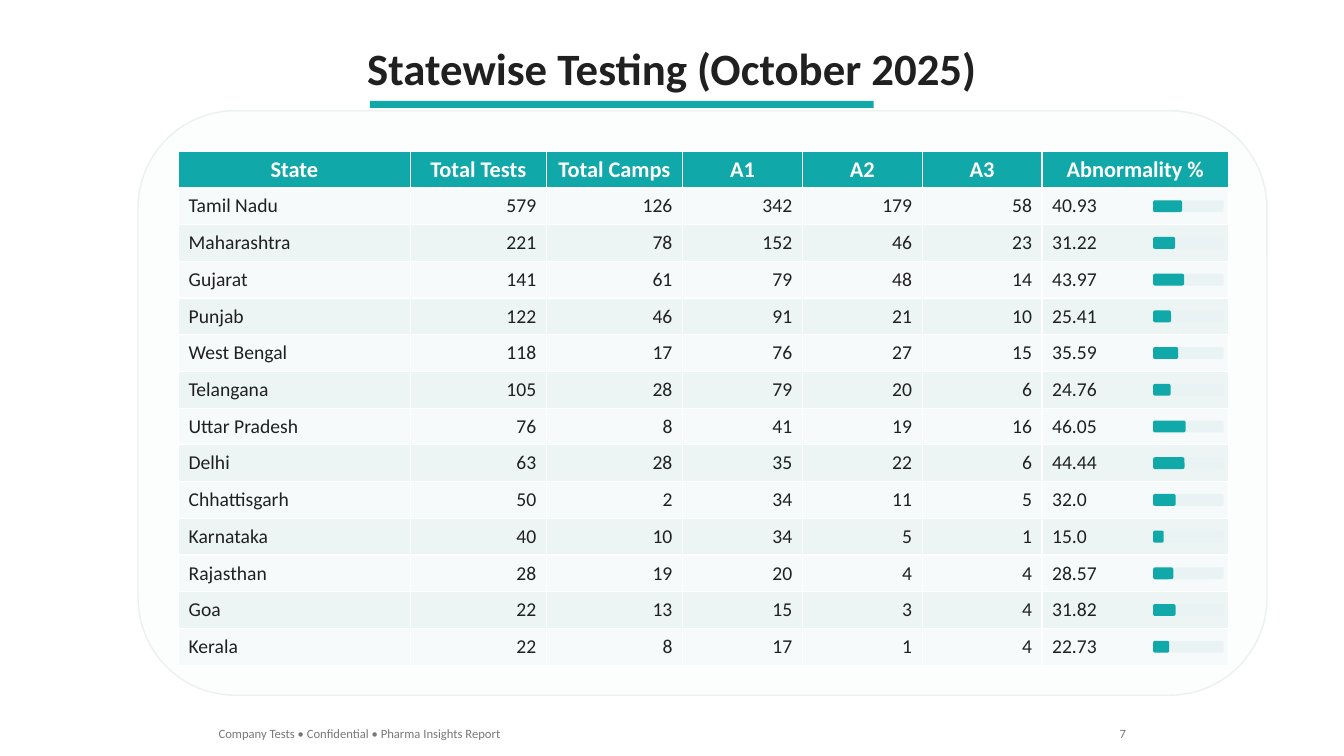
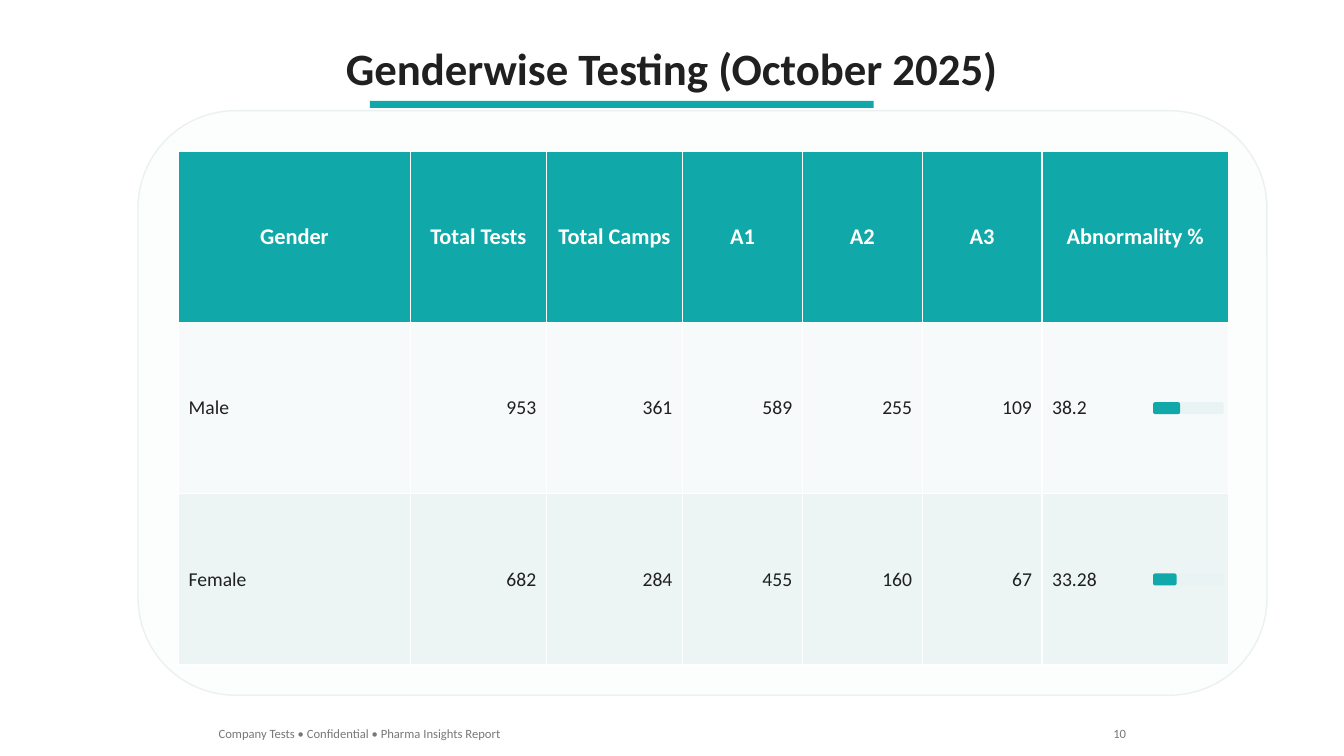
from dataclasses import dataclass

from pptx import Presentation
from pptx import util as u
from pptx.dml.color import RGBColor
from pptx.enum import shapes, text

Cm, Pt = u.Cm, u.Pt
RECT, ROUND = shapes.MSO_SHAPE.RECTANGLE, shapes.MSO_SHAPE.ROUNDED_RECTANGLE
LEFT, CENTER, RIGHT = text.PP_ALIGN.LEFT, text.PP_ALIGN.CENTER, text.PP_ALIGN.RIGHT

# Shared look
FONT = "Calibri"
COLORS = {
    "teal": "10A8A8", "ink": "202020", "white": "FFFFFF", "grey": "787878",
    "card": "FCFDFD", "card_line": "EBF0F0", "track": "EAF3F3",
    "row_light": "F6FAFA", "row_dark": "ECF4F4",
}
FOOTER = "Company Tests • Confidential • Pharma Insights Report"

# Shared layout, in centimetres
SLIDE_W, SLIDE_H = 33.87, 19.05
TABLE_X, TABLE_Y, TABLE_H = 4.5, 3.81, 12.95
COL_WIDTHS = (5.84, 3.43, 3.43, 3.02, 3.02, 3.02, 4.7)
MEASURES = ("Total Tests", "Total Camps", "A1", "A2", "A3", "Abnormality %")
ALIGNS = (LEFT, *[RIGHT] * 5, LEFT)
BAR_X, BAR_W, BAR_H = 29.06, 1.78, 0.3
FOOTER_Y, FOOTER_H, PAGE_RIGHT = 18.16, 0.64, 28.63


@dataclass(frozen=True)
class Report:
    title: str
    title_width: float
    group: str
    rows: tuple[tuple[str, ...], ...]
    page: int


REPORTS = (
    Report("Statewise Testing (October 2025)", 16.05, "State", (
        ("Tamil Nadu", "579", "126", "342", "179", "58", "40.93"),
        ("Maharashtra", "221", "78", "152", "46", "23", "31.22"),
        ("Gujarat", "141", "61", "79", "48", "14", "43.97"),
        ("Punjab", "122", "46", "91", "21", "10", "25.41"),
        ("West Bengal", "118", "17", "76", "27", "15", "35.59"),
        ("Telangana", "105", "28", "79", "20", "6", "24.76"),
        ("Uttar Pradesh", "76", "8", "41", "19", "16", "46.05"),
        ("Delhi", "63", "28", "35", "22", "6", "44.44"),
        ("Chhattisgarh", "50", "2", "34", "11", "5", "32.0"),
        ("Karnataka", "40", "10", "34", "5", "1", "15.0"),
        ("Rajasthan", "28", "19", "20", "4", "4", "28.57"),
        ("Goa", "22", "13", "15", "3", "4", "31.82"),
        ("Kerala", "22", "8", "17", "1", "4", "22.73"),
    ), 7),
    Report("Genderwise Testing (October 2025)", 17.12, "Gender", (
        ("Male", "953", "361", "589", "255", "109", "38.2"),
        ("Female", "682", "284", "455", "160", "67", "33.28"),
    ), 10),
)


def rgb(name: str) -> RGBColor:
    return RGBColor.from_string(COLORS[name])


def write(tf, content: str, size: int, color: str, align, bold: bool = False) -> None:
    p = tf.paragraphs[0]
    p.text = content
    p.alignment = align
    p.font.name, p.font.size, p.font.bold = FONT, Pt(size), bold
    p.font.color.rgb = rgb(color)


def add_label(s, x: float, y: float, w: float, h: float, content: str,
              size: int, color: str, align=LEFT, bold: bool = False) -> None:
    tf = s.shapes.add_textbox(Cm(x), Cm(y), Cm(w), Cm(h)).text_frame
    tf.word_wrap = False
    tf.auto_size = text.MSO_AUTO_SIZE.SHAPE_TO_FIT_TEXT
    write(tf, content, size, color, align, bold)


def add_box(s, kind, x: float, y: float, w: float, h: float,
            fill: str, line: str | None = None) -> None:
    sp = s.shapes.add_shape(kind, Cm(x), Cm(y), Cm(w), Cm(h))
    sp.shadow.inherit = False
    sp.fill.solid()
    sp.fill.fore_color.rgb = rgb(fill)
    if line:
        sp.line.color.rgb = rgb(line)
        sp.line.width = Pt(1)
    else:
        sp.line.fill.background()


def fill_cell(cell, content: str, fill: str, size: int, color: str,
              align, bold: bool = False) -> None:
    cell.fill.solid()
    cell.fill.fore_color.rgb = rgb(fill)
    cell.vertical_anchor = text.MSO_ANCHOR.MIDDLE
    cell.margin_top = cell.margin_bottom = Cm(0.1)
    write(cell.text_frame, content, size, color, align, bold)


def add_results(s, report: Report) -> None:
    count = len(report.rows) + 1
    row_h = TABLE_H / count
    table = s.shapes.add_table(count, len(COL_WIDTHS), Cm(TABLE_X), Cm(TABLE_Y),
                               Cm(sum(COL_WIDTHS)), Cm(TABLE_H)).table
    for column, width in zip(table.columns, COL_WIDTHS):
        column.width = Cm(width)
    for row in table.rows:
        row.height = Cm(row_h)

    # Header row
    for c, heading in enumerate((report.group, *MEASURES)):
        fill_cell(table.cell(0, c), heading, "teal", 16, "white", CENTER, True)

    # Data rows, each with a bar for its abnormality rate
    for i, values in enumerate(report.rows, start=1):
        fill = "row_light" if i % 2 else "row_dark"
        for c, (value, align) in enumerate(zip(values, ALIGNS)):
            fill_cell(table.cell(i, c), value, fill, 14, "ink", align)
        bar_y = TABLE_Y + (i + 0.5) * row_h - BAR_H / 2
        add_box(s, ROUND, BAR_X, bar_y, BAR_W, BAR_H, "track")
        add_box(s, ROUND, BAR_X, bar_y, BAR_W * float(values[-1]) / 100, BAR_H, "teal")


def add_report(prs, report: Report) -> None:
    s = prs.slides.add_slide(prs.slide_layouts[6])

    # Title and underline
    add_label(s, (SLIDE_W - report.title_width) / 2, 0.89, report.title_width, 1.63,
              report.title, 32, "ink", CENTER, True)
    add_box(s, RECT, 9.32, 2.54, 12.7, 0.18, "teal")

    # Card with the results
    add_box(s, ROUND, 3.48, 2.79, 28.45, 14.73, "card", "card_line")
    add_results(s, report)

    # Footer and page number
    add_label(s, 5.26, FOOTER_Y, 7.75, FOOTER_H, FOOTER, 9, "grey")
    page = str(report.page)
    page_w = 0.53 + 0.16 * len(page)
    add_label(s, PAGE_RIGHT - page_w, FOOTER_Y, page_w, FOOTER_H, page, 9, "grey", RIGHT)


def main() -> None:
    prs = Presentation()
    prs.slide_width, prs.slide_height = Cm(SLIDE_W), Cm(SLIDE_H)
    for report in REPORTS:
        add_report(prs, report)
    prs.save("out.pptx")


if __name__ == "__main__":
    main()
